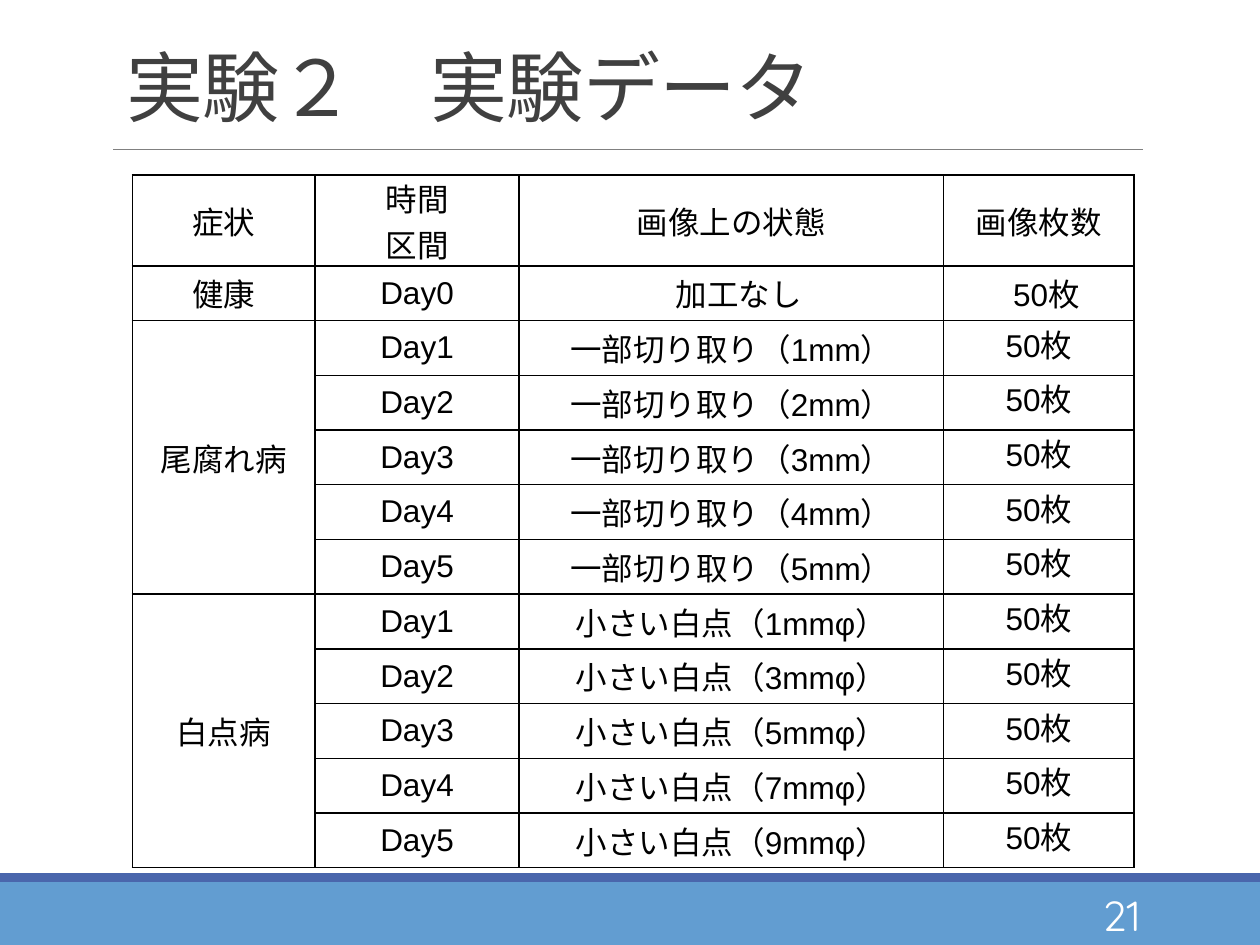
"""Build the slide listing the image data used in experiment 2."""
from dataclasses import dataclass

from lxml import etree
from pptx import Presentation
from pptx import util as u
from pptx.dml import color as c
from pptx.enum import shapes, text
from pptx.oxml import ns


@dataclass(frozen=True)
class Theme:
    heading_font: str = "Quicksand"
    body_font: str = "Arial"
    title_size: int = 44
    page_size: int = 24
    body_size: int = 18
    title: str = "404040"
    ink: str = "000000"
    paper: str = "FFFFFF"
    rule: str = "808080"
    footer: str = "629DD1"
    footer_edge: str = "4A66AC"


@dataclass(frozen=True)
class Band:
    top: float
    height: float
    color: str


@dataclass(frozen=True)
class Symptom:
    name: str
    states: tuple[str, ...]
    first_day: int = 1
    indent: float = 0
    count_anchor: text.MSO_ANCHOR = text.MSO_ANCHOR.TOP


THEME = Theme()
BANDS = (Band(7, 0.5, THEME.footer), Band(6.93, 0.07, THEME.footer_edge))
HEADINGS = ("症状", "時間\n区間", "画像上の状態", "画像枚数")
COUNT = "50枚"
SYMPTOMS = (
    Symptom("健康", ("加工なし",), 0, 0.12, text.MSO_ANCHOR.MIDDLE),
    Symptom("尾腐れ病", tuple(f"一部切り取り（{mm}mm）" for mm in range(1, 6))),
    Symptom("白点病", tuple(f"小さい白点（{mm}mmφ）" for mm in range(1, 10, 2))),
)
COLUMN_WIDTHS = (1.45, 1.62, 3.37, 1.51)
HEADER_HEIGHT = 0.72
DAY_ROWS = sum(len(symptom.states) for symptom in SYMPTOMS)
DAY_HEIGHT = 4.78 / DAY_ROWS


def style_paragraph(paragraph, font: str, size: int, color: str, align) -> None:
    """Set the alignment and font of one paragraph."""
    paragraph.alignment = align
    paragraph.font.name = font
    paragraph.font.size = u.Pt(size)
    paragraph.font.color.rgb = c.RGBColor.from_string(color)


def draw_band(slide, band: Band) -> None:
    """Draw a full-width footer band."""
    strip = slide.shapes.add_shape(
        shapes.MSO_SHAPE.RECTANGLE, 0, u.Inches(band.top), u.Inches(10), u.Inches(band.height))
    strip.shadow.inherit = False
    strip.fill.solid()
    strip.fill.fore_color.rgb = c.RGBColor.from_string(band.color)
    strip.line.fill.background()


def draw_rule(slide) -> None:
    """Draw the thin line below the title."""
    rule = slide.shapes.add_connector(
        shapes.MSO_CONNECTOR.STRAIGHT,
        u.Inches(0.9), u.Inches(1.19), u.Inches(9.07), u.Inches(1.19))
    rule.line.color.rgb = c.RGBColor.from_string(THEME.rule)
    rule.line.width = u.Pt(0.5)
    etree.SubElement(rule._element.spPr, ns.qn("a:effectLst"))


def draw_title(slide) -> None:
    """Place and format the title placeholder."""
    title = slide.shapes.title
    title.left, title.top = u.Inches(0.9), u.Inches(0.26)
    title.width, title.height = u.Inches(8.25), u.Inches(0.84)
    frame = title.text_frame
    frame.text = "実験２　実験データ"
    frame.auto_size = text.MSO_AUTO_SIZE.NONE
    frame.vertical_anchor = text.MSO_ANCHOR.BOTTOM
    heading = frame.paragraphs[0]
    heading.line_spacing = 0.85
    style_paragraph(heading, THEME.heading_font, THEME.title_size, THEME.title,
                    text.PP_ALIGN.LEFT)
    heading.font._element.set("spc", "-50")


def draw_page_number(slide) -> None:
    """Write the page number in the footer."""
    frame = slide.shapes.add_textbox(
        u.Inches(8.07), u.Inches(7.06), u.Inches(1.08), u.Inches(0.4)).text_frame
    frame.word_wrap = True
    frame.vertical_anchor = text.MSO_ANCHOR.MIDDLE
    frame.text = "21"
    style_paragraph(frame.paragraphs[0], THEME.heading_font, THEME.page_size, THEME.paper,
                    text.PP_ALIGN.RIGHT)


def add_borders(cell) -> None:
    """Give a cell a one-point line on each side."""
    properties = cell._tc.get_or_add_tcPr()
    for position, side in enumerate(("lnL", "lnR", "lnT", "lnB")):
        line = etree.Element(ns.qn(f"a:{side}"), w=str(u.Pt(1)))
        fill = etree.SubElement(line, ns.qn("a:solidFill"))
        etree.SubElement(fill, ns.qn("a:srgbClr"), val=THEME.ink)
        properties.insert(position, line)


def fill_cell(cell, words: str, anchor=text.MSO_ANCHOR.MIDDLE, indent: float = 0) -> None:
    """Write centred words in a cell."""
    cell.text = words
    cell.vertical_anchor = anchor
    for paragraph in cell.text_frame.paragraphs:
        style_paragraph(paragraph, THEME.body_font, THEME.body_size, THEME.ink,
                        text.PP_ALIGN.CENTER)
        if indent:
            paragraph._p.get_or_add_pPr().set("marL", str(u.Inches(indent)))


def draw_table(slide) -> None:
    """Draw the table of symptoms, days, states and image counts."""
    table = slide.shapes.add_table(
        DAY_ROWS + 1, len(HEADINGS), u.Inches(1.05), u.Inches(1.39),
        u.Inches(sum(COLUMN_WIDTHS)), u.Inches(HEADER_HEIGHT + DAY_HEIGHT * DAY_ROWS)).table
    table.first_row = table.horz_banding = False
    for column, width in zip(table.columns, COLUMN_WIDTHS):
        column.width = u.Inches(width)
    for row in table.rows:
        row.height = u.Inches(DAY_HEIGHT)
    table.rows[0].height = u.Inches(HEADER_HEIGHT)
    for cell in table.iter_cells():
        cell.margin_left = cell.margin_right = u.Inches(0.07)
        cell.margin_top = cell.margin_bottom = 0
        cell.fill.background()
        add_borders(cell)
    for column, heading in enumerate(HEADINGS):
        fill_cell(table.cell(0, column), heading)
    start = 1
    for symptom in SYMPTOMS:
        end = start + len(symptom.states)
        if end - start > 1:
            table.cell(start, 0).merge(table.cell(end - 1, 0))
        fill_cell(table.cell(start, 0), symptom.name)
        for offset, state in enumerate(symptom.states):
            row = start + offset
            fill_cell(table.cell(row, 1), f"Day{symptom.first_day + offset}")
            fill_cell(table.cell(row, 2), state, indent=symptom.indent)
            fill_cell(table.cell(row, 3), COUNT, symptom.count_anchor, symptom.indent)
        start = end


def main() -> None:
    """Build and save the slide."""
    deck = Presentation()
    deck.slide_width, deck.slide_height = u.Inches(10), u.Inches(7.5)
    slide = deck.slides.add_slide(deck.slide_layouts[5])
    for band in BANDS:
        draw_band(slide, band)
    draw_rule(slide)
    draw_title(slide)
    draw_page_number(slide)
    draw_table(slide)
    deck.save("out.pptx")


if __name__ == "__main__":
    main()
